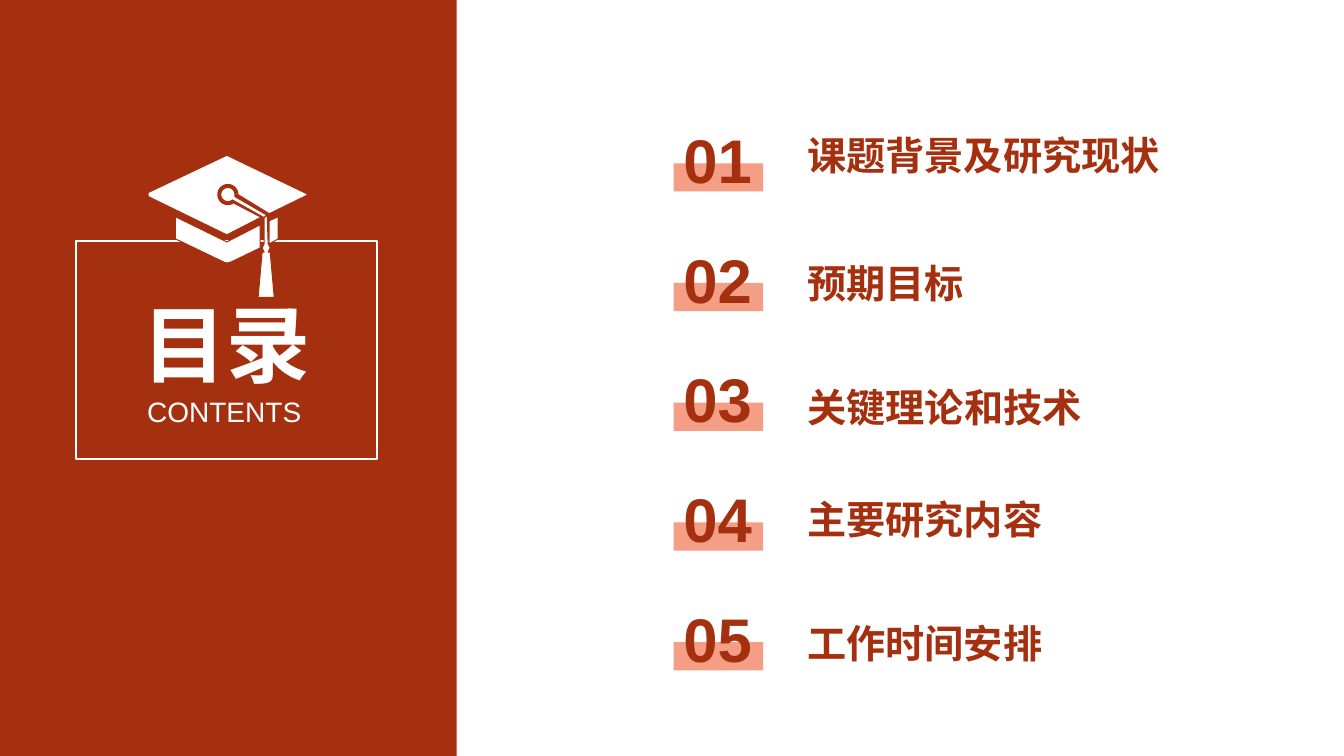
from math import cos, radians, sin

from lxml.etree import SubElement
from pptx import Presentation
from pptx.dml.color import RGBColor
from pptx.enum.shapes import MSO_SHAPE
from pptx.enum.text import MSO_AUTO_SIZE, PP_ALIGN
from pptx.oxml.ns import qn
from pptx.util import Inches, Pt

RED, PINK, WHITE = "A5300F", "F49E86", "FFFFFF"
CHINESE, LATIN = "Noto Sans CJK SC", "Arial"


def color(value):
    return RGBColor.from_string(value)


def add_text(text, place, size, font, text_color, bold=True, wrap=False):
    box = page.shapes.add_textbox(*map(Inches, place))
    frame = box.text_frame
    frame.text = text
    frame.word_wrap = wrap
    frame.auto_size = MSO_AUTO_SIZE.SHAPE_TO_FIT_TEXT
    span = frame.paragraphs[0].runs[0]
    span.font.size = Pt(size)
    span.font.bold = bold
    span.font.name = font
    span.font.color.rgb = color(text_color)
    SubElement(span.font._element, qn("a:ea"), typeface=font)
    return frame.paragraphs[0]


deck = Presentation()
deck.slide_width, deck.slide_height = Inches(13.33), Inches(7.5)
page = deck.slides.add_slide(deck.slide_layouts[6])

# Red side panel and white title frame
panel = page.shapes.add_shape(
    MSO_SHAPE.RECTANGLE, Inches(-0.05), 0, Inches(4.58), Inches(7.5))
panel.shadow.inherit = False
panel.fill.solid()
panel.fill.fore_color.rgb = color(RED)
panel.line.fill.background()

title_frame = page.shapes.add_shape(
    MSO_SHAPE.RECTANGLE, Inches(0.75), Inches(2.39), Inches(2.99), Inches(2.16))
title_frame.shadow.inherit = False
title_frame.fill.background()
title_frame.line.color.rgb = color(WHITE)
title_frame.line.width = Pt(1.5)

title = add_text("目录", (0.62, 2.85, 3.25, 1.11), 60, CHINESE, WHITE, wrap=True)
title.alignment = PP_ALIGN.CENTER

# Graduation cap: the cord ends in a ring around the button
button_x, button_y = 2.26, 1.93
button_hole = [(button_x + 0.1 * cos(radians(angle)), button_y + 0.1 * sin(radians(angle)))
               for angle in range(60, 361, 10)]
button = [(button_x + 0.07 * cos(radians(angle)), button_y + 0.07 * sin(radians(angle)))
          for angle in range(10, -311, -10)]
cap_parts = [
    # Right and left side of the cap
    [(2.67, 2.42), (2.76, 2.37), (2.76, 2.15), (2.67, 2.19)],
    [(1.74, 2.15), (1.74, 2.37), (2.22, 2.6), (2.25, 2.61), (2.29, 2.6),
     (2.58, 2.46), (2.58, 2.23), (2.25, 2.4)],
    # Button with cord
    [(2.65, 2.13), (2.64, 2.13), (2.33, 1.95), *button, (2.62, 2.16)],
    # Board
    [(3.06, 1.93), (2.25, 1.54), (1.47, 1.91), (1.47, 1.95), (2.25, 2.33),
     (2.58, 2.16), (2.58, 2.15), (2.31, 2.01), *button_hole, (2.67, 2.12)],
    # Tassel
    [(2.65, 2.13), (2.66, 2.42), (2.68, 2.46), (2.66, 2.5), (2.68, 2.5),
     (2.72, 2.95), (2.56, 2.95), (2.6, 2.5), (2.62, 2.5), (2.6, 2.46),
     (2.62, 2.42), (2.62, 2.16)],
]
outline = page.shapes.build_freeform(scale=1)
for part in cap_parts:
    corners = [(Inches(x), Inches(y)) for x, y in part]
    if part is cap_parts[0]:
        outline = page.shapes.build_freeform(*corners[0], scale=1.0)
    else:
        outline.move_to(*corners[0])
    outline.add_line_segments(corners[1:], close=True)
cap = outline.convert_to_shape()
cap.shadow.inherit = False
cap.fill.solid()
cap.fill.fore_color.rgb = color(WHITE)
cap.line.color.rgb = color(RED)
cap.line.width = Pt(0.75)

add_text("CONTENTS", (1.36, 3.86, 1.75, 0.44), 20, LATIN, WHITE, bold=False)

# Chapters: heading top and width, with evenly spaced numbers
chapters = [
    ("课题背景及研究现状", 1.25, 3.74),
    ("预期目标", 2.52, 1.77),
    ("关键理论和技术", 3.75, 2.95),
    ("主要研究内容", 4.86, 2.56),
    ("工作时间安排", 6.09, 2.56),
]
for index, (heading, heading_top, heading_width) in enumerate(chapters):
    number_top = 1.16 + index * 4.75 / 4
    add_text(heading, (7.91, heading_top, heading_width, 0.57), 28, CHINESE, RED)
    bar = page.shapes.add_shape(
        MSO_SHAPE.RECTANGLE, Inches(6.68), Inches(number_top + 0.46), Inches(0.89), Inches(0.28))
    bar.shadow.inherit = False
    bar.fill.solid()
    bar.fill.fore_color.rgb = color(PINK)
    bar.line.fill.background()
    add_text(f"{index + 1:02}", (6.68, number_top, 0.89, 0.84), 44, LATIN, RED)

deck.save("out.pptx")
